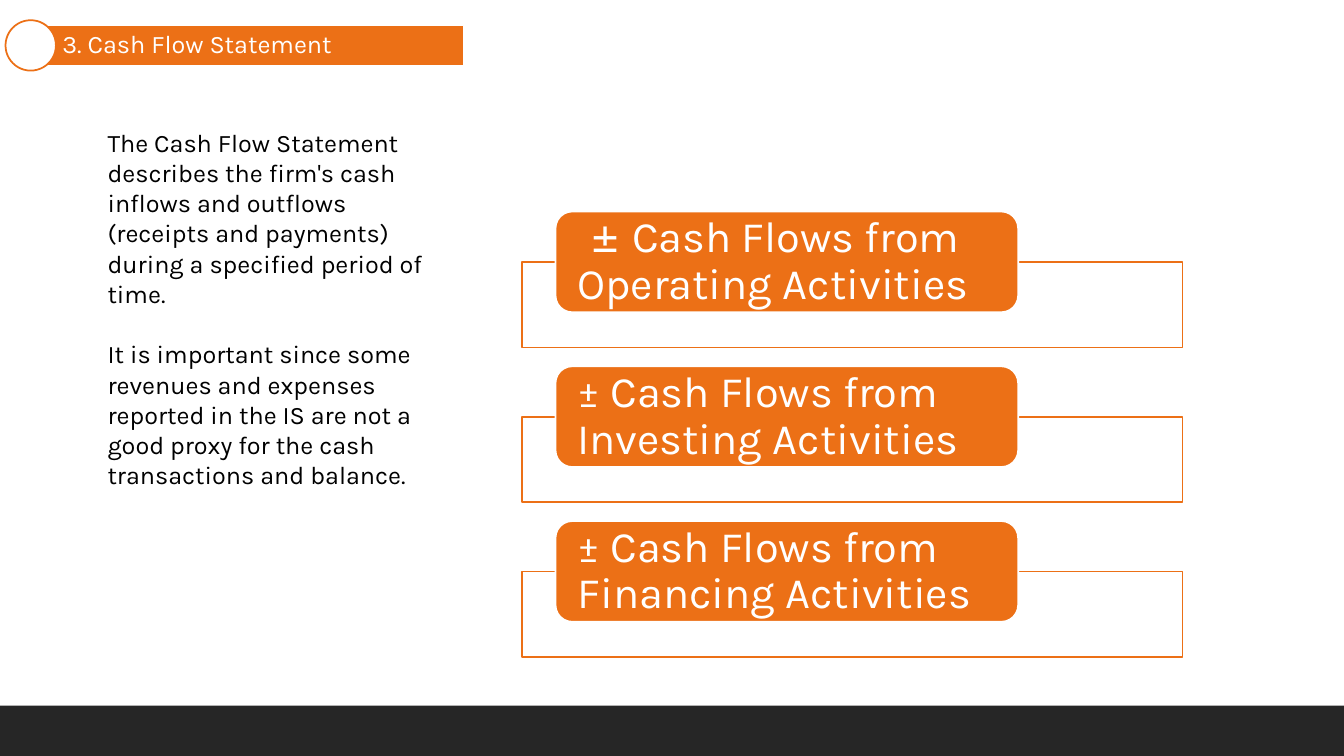
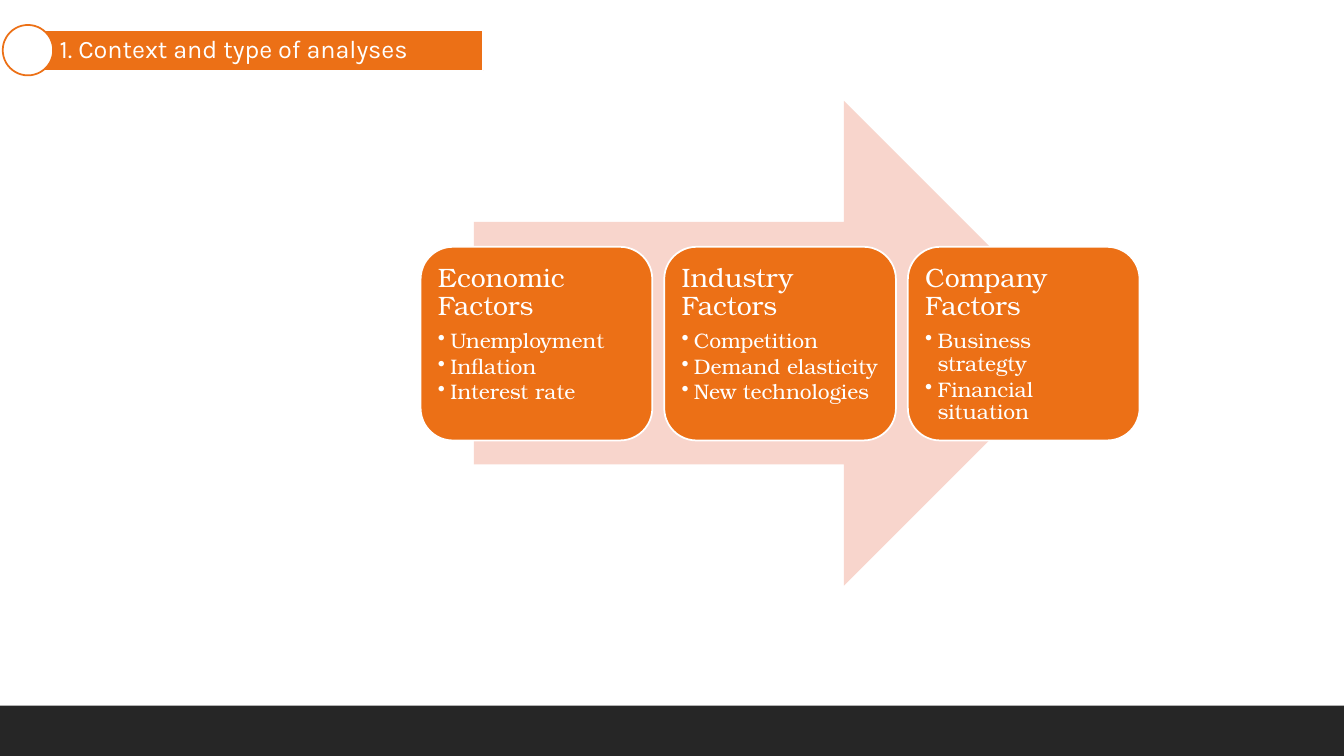
from lxml import etree
from pptx import Presentation
from pptx.dml.color import RGBColor
from pptx.enum import shapes, text
from pptx.oxml import ns
from pptx.util import Cm, Pt

COLOURS = {"accent": "EC7016", "pale": "F8D5CC", "band": "262626",
           "white": "FFFFFF", "black": "000000"}
SANS, SERIF = "Karla", "TeX Gyre Bonum"
KIND = shapes.MSO_SHAPE


def style(shape, box, fill=None, line=None, insets=(0.25, 0.13, 0.25, 0.13),
          anchor=text.MSO_ANCHOR.MIDDLE):
    """Place a shape (box in cm), colour it and return its text frame."""
    shape.left, shape.top, shape.width, shape.height = map(Cm, box)
    if fill:
        shape.fill.solid()
        shape.fill.fore_color.rgb = RGBColor.from_string(COLOURS[fill])
    if line:
        shape.line.color.rgb = RGBColor.from_string(COLOURS[line])
        shape.line.width = Pt(1.25)
    elif not shape.is_placeholder:
        shape.line.fill.background()
    if not shape.is_placeholder:
        shape.shadow.inherit = False
    frame = shape.text_frame
    frame.word_wrap = True
    frame.auto_size = text.MSO_AUTO_SIZE.NONE
    frame.vertical_anchor = anchor
    (frame.margin_left, frame.margin_top,
     frame.margin_right, frame.margin_bottom) = map(Cm, insets)
    return frame


def write(frame, runs, size, colour="white", spacing=0.9, before=0, after=0,
          bullet=False, indent=0.0):
    """Add a left-aligned paragraph made of (wording, font) runs."""
    paragraph = frame.paragraphs[0]
    if paragraph.runs:
        paragraph = frame.add_paragraph()
    properties = paragraph._p.get_or_add_pPr()
    properties.set("marL", str(Cm(0.31) if bullet else 0))
    properties.set("indent", str(Cm(-0.31 if bullet else indent)))
    mark = etree.SubElement(properties, ns.qn("a:buChar" if bullet else "a:buNone"))
    if bullet:
        mark.set("char", "•")
    paragraph.alignment = text.PP_ALIGN.LEFT
    paragraph.line_spacing = spacing
    paragraph.space_before, paragraph.space_after = Pt(before), Pt(after)
    for wording, font in runs:
        run = paragraph.add_run()
        run.text = wording
        run.font.name, run.font.size = font, Pt(size)
        run.font.color.rgb = RGBColor.from_string(COLOURS[colour])


prs = Presentation()
prs.slide_width, prs.slide_height = Cm(33.87), Cm(19.05)
CONTENT, TITLE_ONLY = prs.slide_layouts[1], prs.slide_layouts[5]

# Shared parts: footer band, title bar and its circle
slides = []
for layout, heading, left, top, width in [
        (CONTENT, "3. Cash Flow Statement", 0.76, 0.64, 10.92),
        (TITLE_ONLY, "1. Context and type of analyses", 0.69, 0.76, 11.49)]:
    slide = prs.slides.add_slide(layout)
    title = style(slide.shapes.title, (left, top, width, 1.02), "accent", "white",
                  (0.81, 0.13, 0.13, 0.13))
    write(title, [(heading, SANS)], 18)
    for kind, box, fill, line in [
            (KIND.RECTANGLE, (0, 17.78, 33.87, 1.27), "band", None),
            (KIND.OVAL, (left - 0.62, top - 0.13, 1.27, 1.27), "white", "accent")]:
        style(slide.shapes.add_shape(kind, 0, 0, 0, 0), box, fill, line)
    slides.append(slide)
cash_flow, context = slides

# Cash flow statement
description = style(cash_flow.placeholders[1], (2.46, 3.07, 8.59, 8.71),
                    anchor=text.MSO_ANCHOR.TOP)
write(description, [("The Cash Flow Statement describes the firm's cash inflows and "
                     "outflows (receipts and payments) during a specified period of "
                     "time.", SANS)], 18, "black", 1)
write(description, [("It is important since some revenues and expenses reported in the "
                     "IS are not a good proxy for the cash transactions and balance.",
                     SANS)], 18, "black", 1, before=21.6)

activities = [
    ([("± ", SERIF), ("Cash Flows from Operating Activities", SANS)], 0.37),
    ([("± Cash Flows from Investing Activities", SANS)], 0),
    ([("± Cash Flows from Financing Activities", SANS)], 0),
]
for row, (runs, indent) in enumerate(activities):
    top = 5.33 + row * 3.9
    style(cash_flow.shapes.add_shape(KIND.RECTANGLE, 0, 0, 0, 0),
          (13.16, top + 1.27, 16.64, 2.16), "white", "accent")
    activity = style(cash_flow.shapes.add_shape(KIND.ROUNDED_RECTANGLE, 0, 0, 0, 0),
                     (14, top, 11.66, 2.54), "accent", "white", (0.43, 0, 0.43, 0))
    write(activity, runs, 31, indent=indent)

# Context and type of analyses
style(context.shapes.add_shape(KIND.RIGHT_ARROW, 0, 0, 0, 0),
      (11.94, 2.54, 15.44, 12.22), "pale")
factors = {
    "Economic Factors": ["Unemployment", "Inflation", "Interest rate"],
    "Industry Factors": ["Competition", "Demand elasticity", "New technologies"],
    "Company Factors": ["Business strategty", "Financial situation"],
}
for column, (factor, examples) in enumerate(factors.items()):
    card = style(context.shapes.add_shape(KIND.ROUNDED_RECTANGLE, 0, 0, 0, 0),
                 (10.6 + column * 6.14, 6.22, 5.84, 4.88), "accent", "white",
                 (0.2, 0.2, 0.2, 0.2), text.MSO_ANCHOR.TOP)
    write(card, [(factor, SERIF)], 19, after=6.5)
    for example in examples:
        write(card, [(example, SERIF)], 15, after=2, bullet=True)

prs.save("out.pptx")
